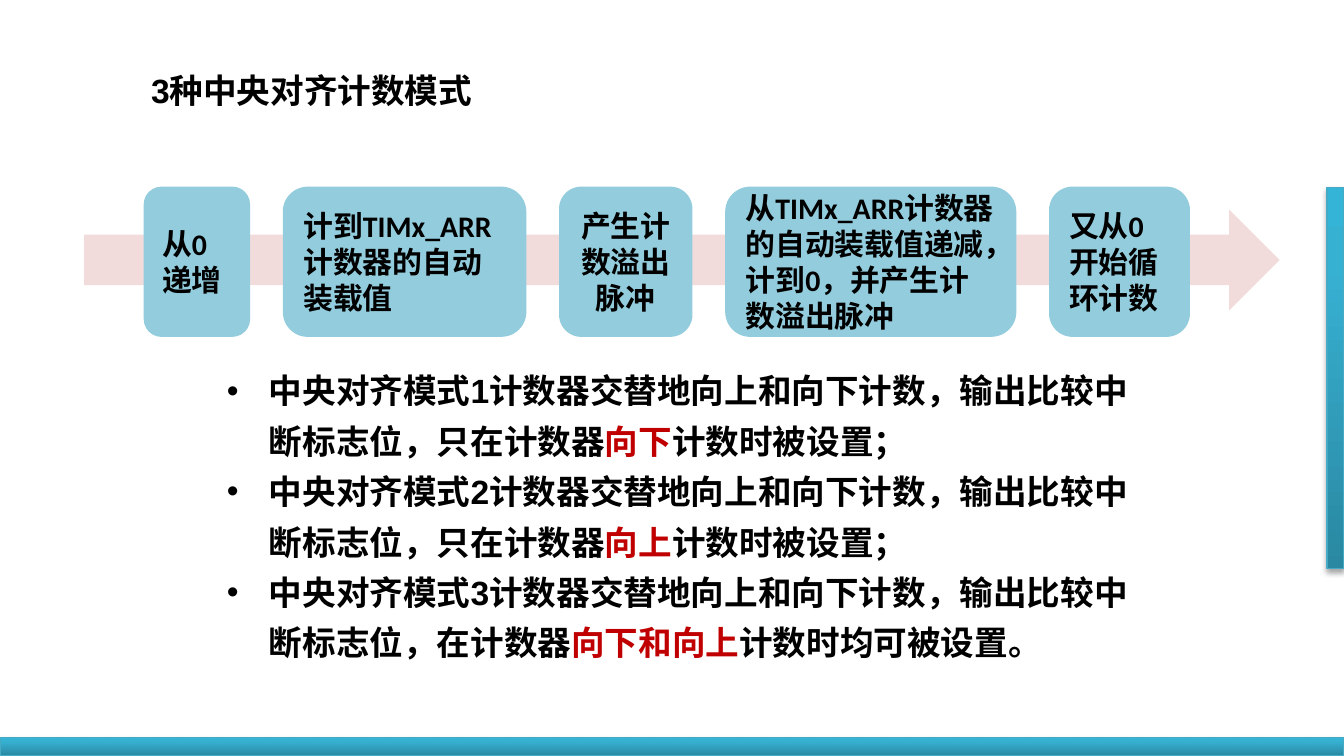
from lxml.etree import SubElement
from pptx import Presentation
from pptx.dml.color import RGBColor
from pptx.enum.shapes import MSO_SHAPE as Shape
from pptx.enum.text import MSO_ANCHOR as Anchor, PP_ALIGN as Align
from pptx.oxml.ns import qn
from pptx.util import Pt

BLACK = RGBColor(0x00, 0x00, 0x00)
RED = RGBColor(0xC0, 0x00, 0x00)
STEP_BLUE = RGBColor(0x93, 0xCD, 0xDD)
ARROW_PINK = RGBColor(0xF2, 0xDC, 0xDB)
EDGE_BLUE = RGBColor(0x46, 0xAA, 0xC5)
BAR_STOPS = [
    (0, RGBColor(0x2A, 0x88, 0xA2)),
    (80, RGBColor(0x37, 0xB1, 0xD2)),
    (100, RGBColor(0x34, 0xB4, 0xD6)),
]

STEP_GAP = 17.5
STEPS = [
    (57, "从0递增", Align.LEFT),
    (130.5, "计到TIMx_ARR计数器的自动装载值", Align.LEFT),
    (71.5, "产生计数溢出脉冲", Align.CENTER),
    (156, "从TIMx_ARR计数器的自动装载值递减，计到0，并产生计数溢出脉冲", Align.LEFT),
    (75.5, "又从0开始循环计数", Align.LEFT),
]
MODES = [
    ("1", "只在", "向下", "计数时被设置；"),
    ("2", "只在", "向上", "计数时被设置；"),
    ("3", "在", "向下和向上", "计数时均可被设置。"),
]


def add_run(para, text, size=18, font="Arial", color=BLACK):
    span = para.add_run()
    span.text = text
    span.font.size = Pt(size)
    span.font.name = font
    span.font.bold = True
    span.font.color.rgb = color


def add_plain_shape(page, kind, left, top, width, height, color):
    shape = page.shapes.add_shape(kind, Pt(left), Pt(top), Pt(width), Pt(height))
    shape.fill.solid()
    shape.fill.fore_color.rgb = color
    shape.line.fill.background()
    shape.shadow.inherit = False
    return shape


def add_text_box(page, left, top, width, height):
    box = page.shapes.add_textbox(Pt(left), Pt(top), Pt(width), Pt(height))
    box.text_frame.word_wrap = True
    return box.text_frame


def add_edge_bar(page, left, top, width, height):
    """Gradient bar with a thin outline and a soft shadow below."""
    bar = add_plain_shape(page, Shape.RECTANGLE, left, top, width, height, EDGE_BLUE)
    bar.line.color.rgb = EDGE_BLUE
    bar.line.width = Pt(0.75)
    bar.fill.gradient()
    bar.fill.gradient_angle = 90
    properties = bar._element.spPr
    stops = properties.find(qn("a:gradFill")).find(qn("a:gsLst"))
    for stop in list(stops):
        stops.remove(stop)
    for percent, color in BAR_STOPS:
        stop = SubElement(stops, qn("a:gs"), pos=str(percent * 1000))
        SubElement(stop, qn("a:srgbClr"), val=str(color))
    shadow = SubElement(
        properties.find(qn("a:effectLst")), qn("a:outerShdw"),
        blurRad=str(Pt(3.1)), dist=str(Pt(1.8)), dir="5400000", rotWithShape="0",
    )
    shade = SubElement(shadow, qn("a:srgbClr"), val=str(BLACK))
    SubElement(shade, qn("a:alpha"), val="35000")


def add_title(page, left, top, width, height):
    para = add_text_box(page, left, top, width, height).paragraphs[0]
    para.alignment = Align.CENTER
    add_run(para, "3种中央对齐计数模式")


def add_process(page, left, top, width, height):
    """Row of steps over a broad arrow."""
    arrow_height = 54
    arrow_top = top + (height - arrow_height) / 2 - 1
    add_plain_shape(page, Shape.RIGHT_ARROW, left, arrow_top, width, arrow_height, ARROW_PINK)
    step_left = left + 32
    for step_width, text, alignment in STEPS:
        step = add_plain_shape(
            page, Shape.ROUNDED_RECTANGLE, step_left, top, step_width, height, STEP_BLUE
        )
        frame = step.text_frame
        frame.word_wrap = True
        frame.vertical_anchor = Anchor.MIDDLE
        para = frame.paragraphs[0]
        para.alignment = alignment
        add_run(para, text, 16, "Calibri")
        step_left += step_width + STEP_GAP


def add_modes(page, left, top, width, height):
    frame = add_text_box(page, left, top, width, height)
    for index, (number, scope, direction, ending) in enumerate(MODES):
        para = frame.add_paragraph() if index else frame.paragraphs[0]
        para.line_spacing = 1.25
        properties = para._p.get_or_add_pPr()
        properties.set("marL", str(Pt(22.5)))
        properties.set("indent", str(Pt(-22.5)))
        SubElement(properties, qn("a:buFont"), typeface="Arial")
        SubElement(properties, qn("a:buChar"), char="•")
        add_run(para, f"中央对齐模式{number}计数器交替地向上和向下计数，输出比较中断标志位，{scope}计数器")
        add_run(para, direction, color=RED)
        add_run(para, ending)


def main():
    deck = Presentation()
    deck.slide_width, deck.slide_height = Pt(720), Pt(405)
    page = deck.slides.add_slide(deck.slide_layouts[6])
    add_edge_bar(page, 0, 395, 720, 10)
    add_edge_bar(page, 711, 100.5, 9, 204)
    add_process(page, 45, 100, 640.5, 80.5)
    add_modes(page, 114.5, 189.5, 502, 170.5)
    add_title(page, 39.5, 34, 255, 29)
    deck.save("out.pptx")


if __name__ == "__main__":
    main()
